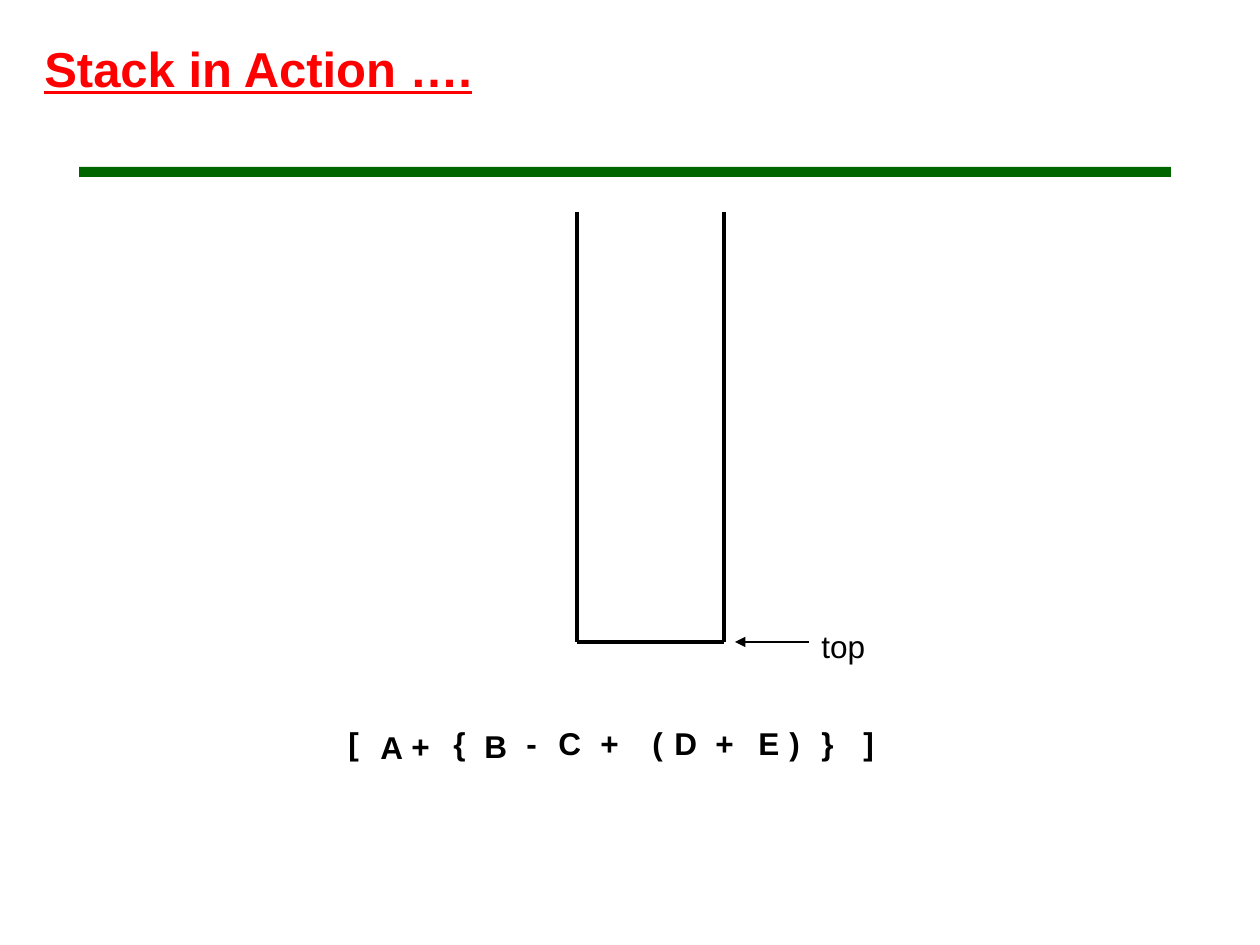
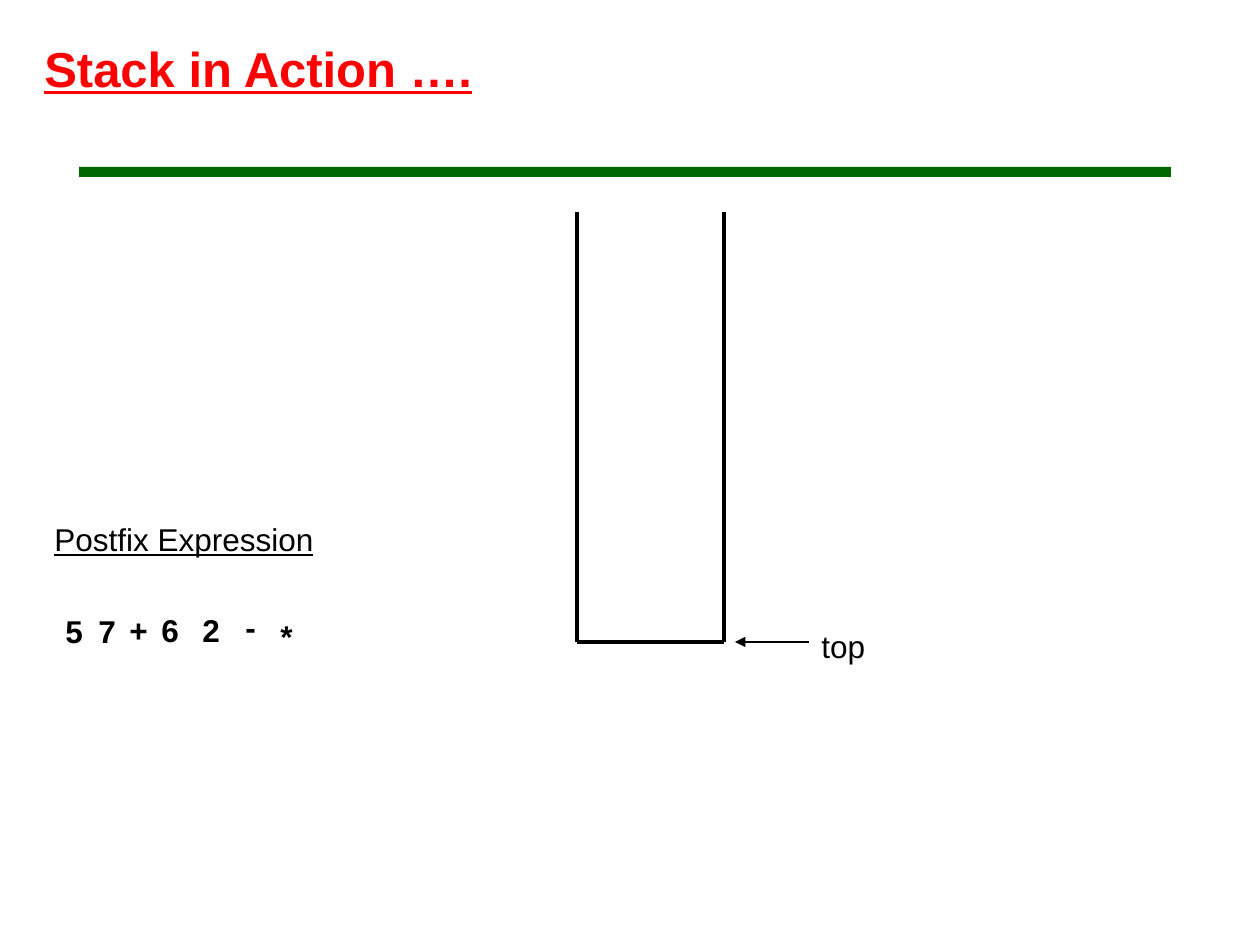
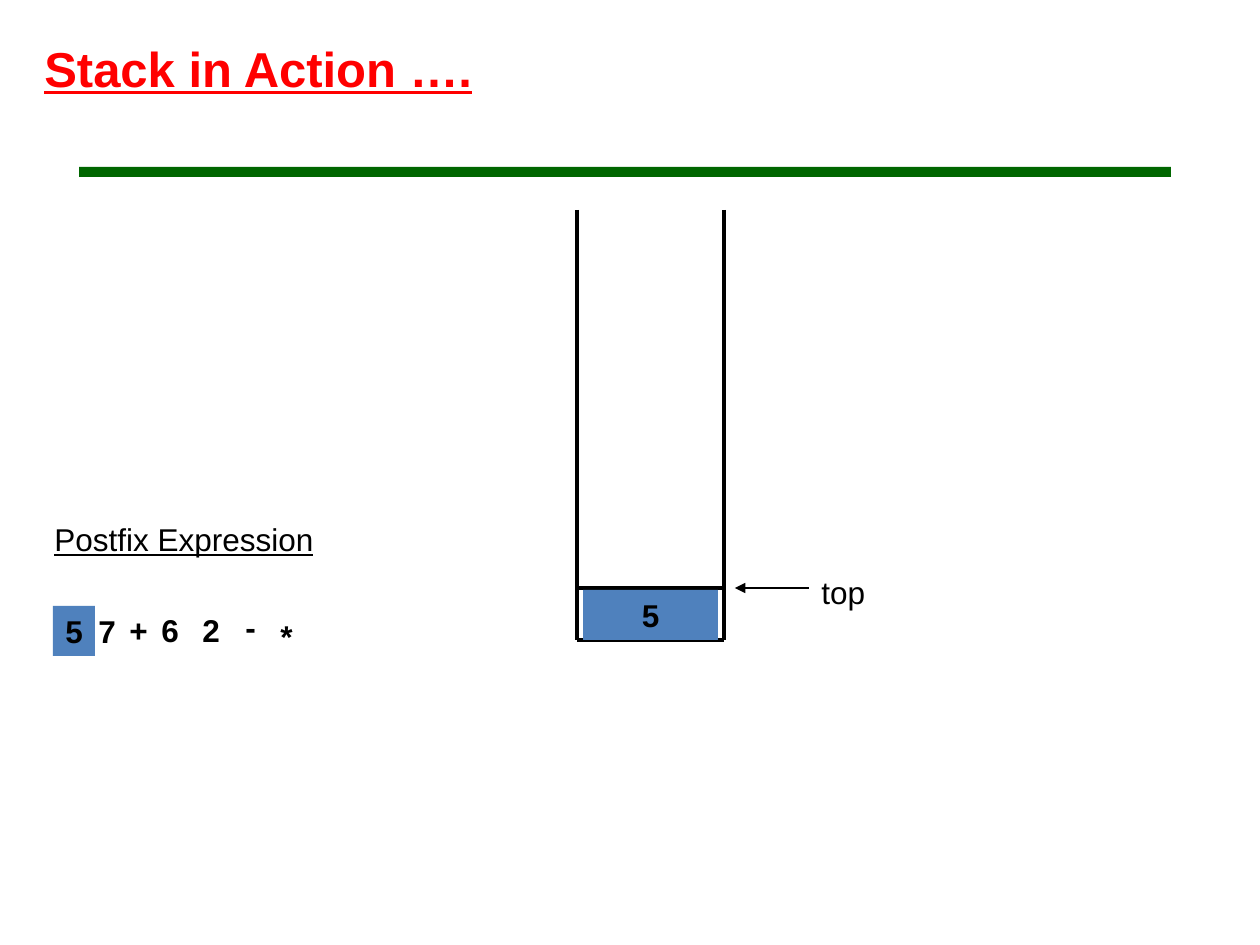
import pptx
import pptx.util
import pptx.dml.color
import pptx.enum.shapes
import pptx.enum.text
import pptx.oxml.ns
import lxml.etree

COLORS = {"title": "FF0000", "band": "006600", "ink": "000000", "item": "4F81BD"}
FONT = "Arial"
PX = 914400 / 126

TITLE = "Stack in Action ...."[:-4] + "…."
LINE_HEIGHT = 50
WRAPPED_HEIGHT = 88

INFIX = [
    ("[", 336, 718, 42), ("A", 368, 722, 53), ("+", 399, 721, 42, WRAPPED_HEIGHT),
    ("{", 441, 718, 42), ("B", 472, 721, 53), ("-", 514, 718, 42),
    ("C", 546, 718, 53), ("+", 588, 718, 53), ("(", 640, 718, 53),
    ("D", 662, 718, 53), ("+", 703, 718, 53), ("E", 746, 718, 53),
    (")", 777, 718, 53), ("}", 809, 718, 53), ("]", 851, 718, 53),
]
POSTFIX = [
    ("5", 53, 606, 42), ("7", 86, 606, 53), ("+", 117, 605, 42, WRAPPED_HEIGHT),
    ("6", 149, 605, 42), ("2", 190, 605, 53), ("-", 233, 602, 42), ("*", 268, 611, 53),
]
SLIDES = [
    {"symbols": INFIX, "caption": None, "stack_top": 212, "items": [], "current": None},
    {"symbols": POSTFIX, "caption": "Postfix Expression", "stack_top": 212, "items": [], "current": None},
    {"symbols": POSTFIX, "caption": "Postfix Expression", "stack_top": 210, "items": ["5"], "current": 0},
]

STACK_LEFT, STACK_RIGHT, STACK_DEPTH = 577, 724, 430
ITEM_STEP, ITEM_INSET = 52, 6
POINTER_TIP, POINTER_TAIL = 735, 809


def emu(*lengths):
    return [round(length * PX) for length in lengths]


def color(name):
    return pptx.dml.color.RGBColor.from_string(COLORS[name])


def add_box(page, left, top, width, height, fill=None):
    place = emu(left, top, width, height)
    if fill is None:
        return page.shapes.add_textbox(*place)
    box = page.shapes.add_shape(pptx.enum.shapes.MSO_SHAPE.RECTANGLE, *place)
    box.shadow.inherit = False
    box.fill.solid()
    box.fill.fore_color.rgb = color(fill)
    box.line.fill.background()
    return box


def add_text(page, text, left, top, width, height=LINE_HEIGHT, size=18, ink="ink",
             bold=False, underline=False, fill=None, centered=False):
    box = add_box(page, left, top, width, height, fill)
    frame = box.text_frame
    frame.word_wrap = True
    frame.auto_size = pptx.enum.text.MSO_AUTO_SIZE.SHAPE_TO_FIT_TEXT
    frame.vertical_anchor = pptx.enum.text.MSO_ANCHOR.TOP
    para = frame.paragraphs[0]
    align = pptx.enum.text.PP_ALIGN
    para.alignment = align.CENTER if centered else align.LEFT
    span = para.add_run()
    span.text = text
    span.font.name = FONT
    span.font.size = pptx.util.Pt(size)
    span.font.bold = bold
    span.font.underline = underline
    span.font.color.rgb = color(ink)


def add_line(page, x1, y1, x2, y2, weight=2.25, arrow=False):
    line = page.shapes.add_connector(
        pptx.enum.shapes.MSO_CONNECTOR.STRAIGHT, *emu(x1, y1, x2, y2))
    line.line.color.rgb = color("ink")
    line.line.width = pptx.util.Pt(weight)
    qn = pptx.oxml.ns.qn
    if arrow:
        lxml.etree.SubElement(line.line._get_or_add_ln(), qn("a:tailEnd"), type="triangle")
    lxml.etree.SubElement(line._element.spPr, qn("a:effectLst"))


def draw_stack(page, top, items):
    level = top + STACK_DEPTH
    for x in (STACK_LEFT, STACK_RIGHT):
        add_line(page, x, top, x, level)
    add_line(page, STACK_LEFT, level, STACK_RIGHT, level)
    for item in items:
        level -= ITEM_STEP
        add_line(page, STACK_LEFT, level, STACK_RIGHT, level)
        add_text(page, item, STACK_LEFT + ITEM_INSET, level + 2,
                 STACK_RIGHT - STACK_LEFT - 2 * ITEM_INSET,
                 bold=True, fill="item", centered=True)
    add_text(page, "top", POINTER_TAIL, level - 21, 189)
    add_line(page, POINTER_TAIL, level, POINTER_TIP, level, 0.75, arrow=True)


def build_page(deck, content):
    page = deck.slides.add_slide(deck.slide_layouts[6])
    add_box(page, 79, 167, 1092, 10, "band")
    draw_stack(page, content["stack_top"], content["items"])
    add_text(page, TITLE, 32, 32, 829, 72, size=28, ink="title", bold=True, underline=True)
    for index, symbol in enumerate(content["symbols"]):
        fill = "item" if index == content["current"] else None
        add_text(page, *symbol, bold=True, fill=fill)
    if content["caption"]:
        add_text(page, content["caption"], 42, 514, 347, underline=True)


def main():
    deck = pptx.Presentation()
    deck.slide_width, deck.slide_height = emu(1260, 945)
    for content in SLIDES:
        build_page(deck, content)
    deck.save("out.pptx")


if __name__ == "__main__":
    main()
